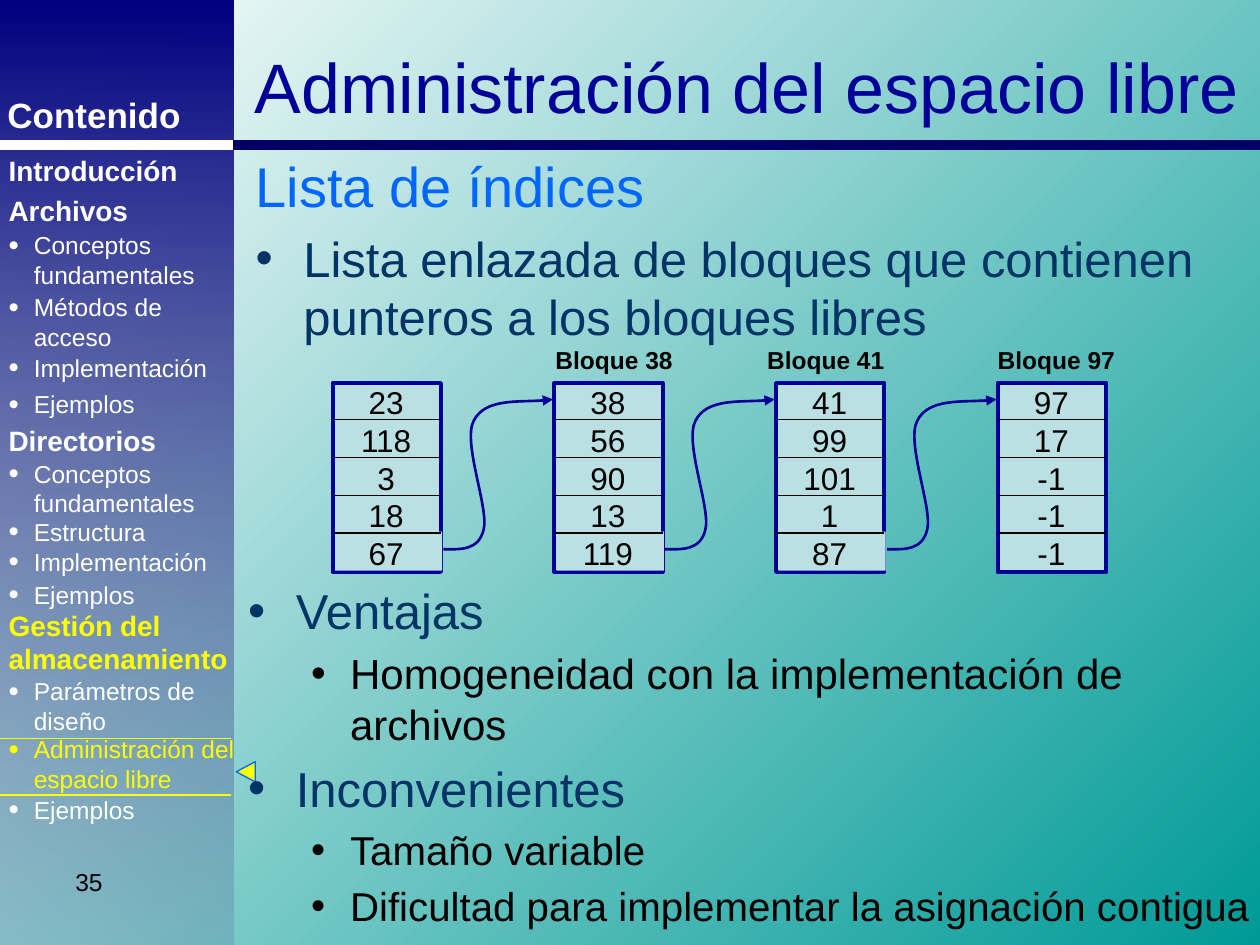
from lxml import etree
from pptx import Presentation
from pptx.dml.color import RGBColor
from pptx.enum.shapes import MSO_CONNECTOR, MSO_SHAPE
from pptx.enum.text import MSO_ANCHOR, PP_ALIGN
from pptx.oxml.ns import qn
from pptx.util import Inches, Pt

STRAIGHT = MSO_CONNECTOR.STRAIGHT
RECTANGLE, TRIANGLE = MSO_SHAPE.RECTANGLE, MSO_SHAPE.ISOSCELES_TRIANGLE
MIDDLE, LEFT, CENTER = MSO_ANCHOR.MIDDLE, PP_ALIGN.LEFT, PP_ALIGN.CENTER

THEME = {
    "font": "Arial",
    "white": "FFFFFF", "black": "000000", "teal": "009A96", "navy": "000080",
    "slate": "545490", "rule": "000066", "title": "000099", "accent": "0066FF",
    "body": "003366", "cell": "BBE0E3", "current": "FFFF00",
    "title_size": 40, "subtitle_size": 32, "body_size": 28, "detail_size": 24,
    "small_detail_size": 23, "menu_title_size": 20, "cell_size": 18,
    "heading_size": 16, "item_size": 14,
}

TITLE = "Administración del espacio libre"
MENU_TITLE = "Contenido"
PAGE_NUMBER = "35"
MENU = [
    ("Introducción", "heading", 1.17, "white"),
    ("Archivos", "heading", 1.49, "white"),
    ("Conceptos fundamentales", "item", 1.78, "white"),
    ("Métodos de acceso", "item", 2.27, "white"),
    ("Implementación", "item", 2.75, "white"),
    ("Ejemplos", "item", 3.04, "white"),
    ("Directorios", "heading", 3.31, "white"),
    ("Conceptos fundamentales", "item", 3.59, "white"),
    ("Estructura", "item", 4.05, "white"),
    ("Implementación", "item", 4.29, "white"),
    ("Ejemplos", "item", 4.55, "white"),
    ("Gestión del almacenamiento", "heading", 4.78, "current"),
    ("Parámetros de diseño", "item", 5.32, "white"),
    ("Administración del espacio libre", "item", 5.78, "current"),
    ("Ejemplos", "item", 6.26, "white"),
]
DEFINITION = [
    ("Lista de índices", "subtitle_size", "accent", None),
    ("Lista enlazada de bloques que contienen punteros a los bloques libres",
     "body_size", "body", (0.38, 0.38)),
]
ASSESSMENT = [
    ("Ventajas", "body_size", "body", (0.38, 0.38)),
    ("Homogeneidad con la implementación de archivos", "detail_size", "black", (0.81, 0.31)),
    ("Inconvenientes", "body_size", "body", (0.38, 0.38)),
    ("Tamaño variable", "small_detail_size", "black", (0.81, 0.31)),
    ("Dificultad para implementar la asignación contigua",
     "small_detail_size", "black", (0.81, 0.31)),
]
BLOCKS = [
    ["23", "118", "3", "18", "67"],
    ["38", "56", "90", "13", "119"],
    ["41", "99", "101", "1", "87"],
    ["97", "17", "-1", "-1", "-1"],
]
BLOCK_LABELS = [("Bloque 38", 4.31), ("Bloque 41", 5.99), ("Bloque 97", 7.82)]
BLOCK_LEFT, BLOCK_TOP, BLOCK_STEP = 2.64, 3.04, 1.76
BLOCK_WIDTH, BLOCK_HEIGHT, ROW_HEIGHT = 0.86, 1.5, 0.3
LINK_START = (0.88, 4.36)
LINK_CONTROLS = [
    (1.02, 4.36), (1.16, 4.37), (1.2, 4.2),
    (1.24, 4.03), (1.03, 3.51), (1.12, 3.34),
    (1.21, 3.16), (1.54, 3.2), (1.75, 3.17),
]


def color(name):
    return RGBColor.from_string(THEME[name])


def fill_gradient(fill, first, last, angle):
    fill.gradient()
    fill.gradient_angle = angle
    for stop, name in zip(fill.gradient_stops, (first, last)):
        stop.color.rgb = color(name)


def add_box(shape_type, left, top, width, height, fill_name, line_name=None, line_width=0):
    shape = slide.shapes.add_shape(
        shape_type, Inches(left), Inches(top), Inches(width), Inches(height))
    shape.shadow.inherit = False
    shape.fill.solid()
    shape.fill.fore_color.rgb = color(fill_name)
    if line_name:
        shape.line.color.rgb = color(line_name)
        shape.line.width = Pt(line_width)
    else:
        shape.line.fill.background()
    return shape


def add_line(left, right, y, name, width):
    line = slide.shapes.add_connector(
        STRAIGHT, Inches(left), Inches(y), Inches(right), Inches(y))
    line.line.color.rgb = color(name)
    line.line.width = Pt(width)
    etree.SubElement(line._element.spPr, qn("a:effectLst"))


def format_paragraph(paragraph, text, size, name, bold=False, alignment=LEFT):
    paragraph.text = text
    paragraph.alignment = alignment
    for font in (paragraph.font, paragraph.runs[0].font):
        font.name, font.size, font.bold = THEME["font"], Pt(THEME[size]), bold
        font.color.rgb = color(name)


def add_bullet(paragraph, margin, hanging, percent=100):
    properties = paragraph._p.get_or_add_pPr()
    properties.set("marL", str(Inches(margin)))
    properties.set("indent", str(-Inches(hanging)))
    etree.SubElement(properties, qn("a:buSzPct")).set("val", str(percent * 1000))
    etree.SubElement(properties, qn("a:buFont")).set("typeface", THEME["font"])
    etree.SubElement(properties, qn("a:buChar")).set("char", "•")


def add_text_frame(left, top, width, height):
    box = slide.shapes.add_textbox(Inches(left), Inches(top), Inches(width), Inches(height))
    box.text_frame.word_wrap = True
    return box.text_frame


def add_label(text, left, top, width, height, size, name, bold=False, alignment=LEFT):
    frame = add_text_frame(left, top, width, height)
    format_paragraph(frame.paragraphs[0], text, size, name, bold, alignment)


def add_outline(entries, left, top, width, height, right_margin):
    frame = add_text_frame(left, top, width, height)
    frame.margin_right = Inches(right_margin)
    for index, (text, size, name, bullet) in enumerate(entries):
        paragraph = frame.add_paragraph() if index else frame.paragraphs[0]
        if bullet:
            add_bullet(paragraph, *bullet)
        format_paragraph(paragraph, text, size, name)
        if index:
            paragraph.space_before = Pt(round(THEME[size] * 0.2, 1))


def add_link(block_left):
    builder = slide.shapes.build_freeform(
        Inches(block_left + LINK_START[0]), Inches(LINK_START[1]))
    builder.add_line_segments(
        [(Inches(block_left + x), Inches(y)) for x, y in LINK_CONTROLS], close=False)
    link = builder.convert_to_shape()
    segments = link._element.spPr.findall(".//" + qn("a:lnTo"))
    for first in range(0, len(segments), 3):
        curve = etree.SubElement(segments[first].getparent(), qn("a:cubicBezTo"))
        for segment in segments[first:first + 3]:
            curve.append(segment[0])
            segment.getparent().remove(segment)
    link.shadow.inherit = False
    link.fill.background()
    link.line.color.rgb = color("title")
    link.line.width = Pt(1.5)
    etree.SubElement(link.line._get_or_add_ln(), qn("a:tailEnd")).set("type", "triangle")


presentation = Presentation()
presentation.slide_width, presentation.slide_height = Inches(10), Inches(7.5)
slide = presentation.slides.add_slide(presentation.slide_layouts[5])
fill_gradient(slide.background.fill, "white", "teal", 315)

title = slide.shapes.title
title.left, title.top, title.width, title.height = map(Inches, (1.85, 0.05, 8.15, 1.25))
title.text_frame.vertical_anchor = MIDDLE
format_paragraph(title.text_frame.paragraphs[0], TITLE, "title_size", "title", alignment=CENTER)

sidebar = add_box(RECTANGLE, 0, 0, 1.85, 7.5, "navy")
fill_gradient(sidebar.fill, "navy", "slate", 270)
last_color = sidebar._element.spPr.findall(".//" + qn("a:srgbClr"))[-1]
etree.SubElement(last_color, qn("a:alpha")).set("val", "19000")
add_line(1.85, 10, 1.15, "rule", 6)
add_line(0, 1.85, 1.15, "white", 6)
add_label(MENU_TITLE, -0.04, 0.69, 1.65, 0.43, "menu_title_size", "white", True)
add_label(PAGE_NUMBER, 0.5, 6.83, 2.33, 0.52, "item_size", "black")

for text, kind, top, name in MENU:
    is_heading = kind == "heading"
    frame = add_text_frame(-0.03, top, 2.28 if is_heading and name == "current" else 2.05,
                           0.57 if " " in text else 0.35)
    if not is_heading:
        add_bullet(frame.paragraphs[0], 0.2, 0.2, 120)
    format_paragraph(frame.paragraphs[0], text, kind + "_size", name, is_heading)
for y in (5.86, 6.31):
    add_line(-0.02, 1.83, y, "current", 0.75)
marker = add_box(TRIANGLE, 1.87, 6.05, 0.16, 0.15, "current", "accent", 0.75)
marker.rotation = 270

add_outline(DEFINITION, 1.93, 1.15, 8.07, 2.84, 0.1)
add_outline(ASSESSMENT, 1.87, 4.56, 8.51, 2.92, 0.4)

for index, numbers in enumerate(BLOCKS):
    left = BLOCK_LEFT + index * BLOCK_STEP
    add_box(RECTANGLE, left, BLOCK_TOP, BLOCK_WIDTH, BLOCK_HEIGHT, "cell", "title", 2.25)
    if index < len(BLOCKS) - 1:
        add_box(RECTANGLE, left + 0.02, 4.22, 0.85, 0.31, "cell")
        add_link(left)
    for row, number in enumerate(numbers):
        if row:
            add_line(left, left + BLOCK_WIDTH, BLOCK_TOP + row * ROW_HEIGHT - 0.01, "black", 0.75)
        add_label(number, left + 0.11, 2.99 + row * ROW_HEIGHT, 0.63, 0.4,
                  "cell_size", "black", alignment=CENTER)
for text, left in BLOCK_LABELS:
    add_label(text, left, 2.69, 1.26, 0.33, "item_size", "black", True)

presentation.save("out.pptx")
